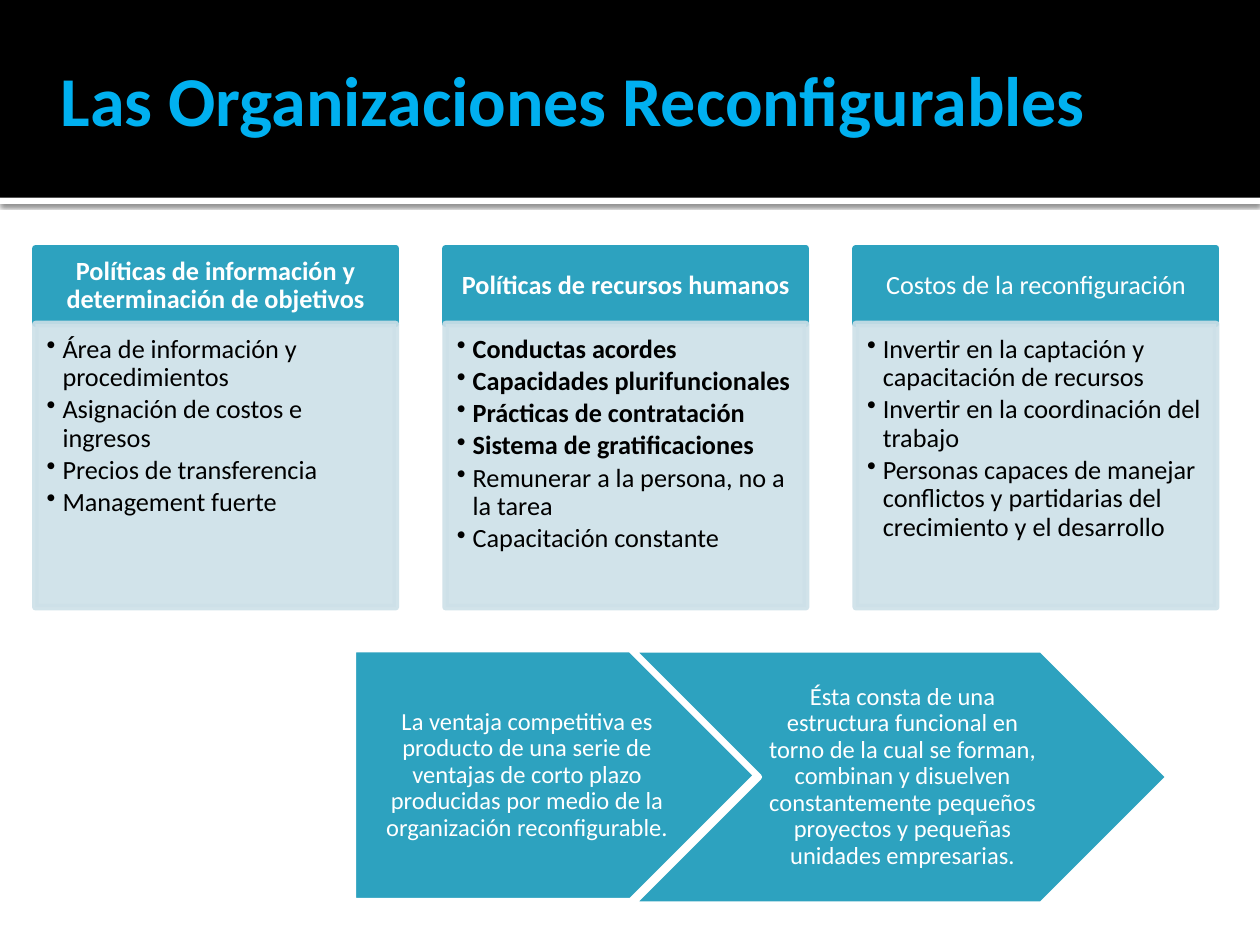
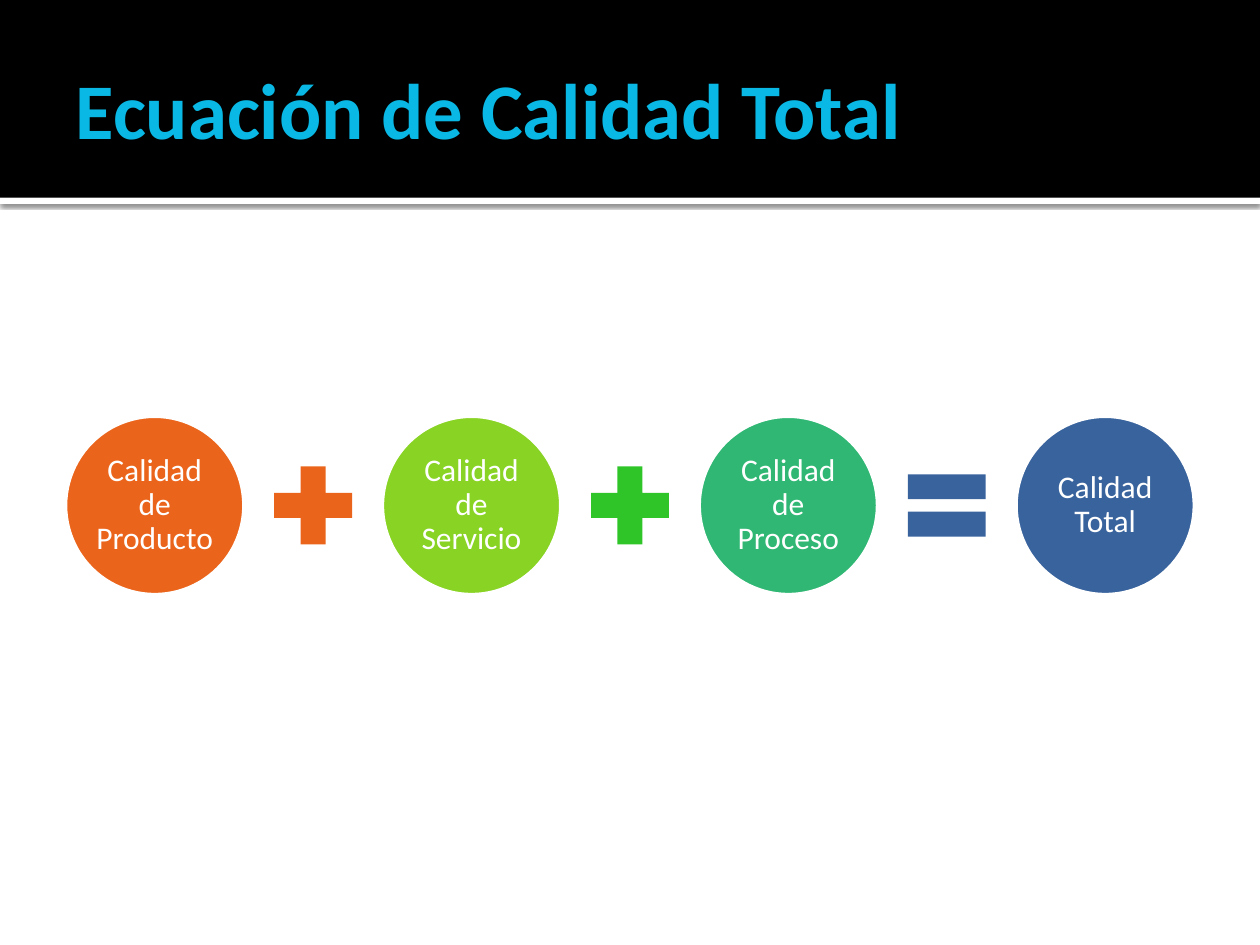
from lxml import etree
from pptx import Presentation
from pptx.dml.color import RGBColor
from pptx.enum.shapes import MSO_SHAPE
from pptx.enum.text import MSO_ANCHOR, MSO_AUTO_SIZE, PP_ALIGN
from pptx.oxml.ns import qn
from pptx.util import Pt

RECT, OVAL = MSO_SHAPE.RECTANGLE, MSO_SHAPE.OVAL
PENTAGON, CHEVRON = MSO_SHAPE.PENTAGON, MSO_SHAPE.CHEVRON
PLUS, EQUAL = MSO_SHAPE.MATH_PLUS, MSO_SHAPE.MATH_EQUAL
TOP, MIDDLE = MSO_ANCHOR.TOP, MSO_ANCHOR.MIDDLE
LEFT, CENTER = PP_ALIGN.LEFT, PP_ALIGN.CENTER
NO_FIT = MSO_AUTO_SIZE.NONE

FONT = "Calibri"
BLACK, WHITE = "000000", "FFFFFF"
TEAL, PALE_TEAL = "2DA2BF", "CDE0E8"
ORANGE, LIME, GREEN, SEA, BLUE = "EB641B", "88D323", "2FC529", "2FB773", "39639D"
OUTLINE = 3.78
TITLE_ONLY = 5


def paint(target, color, opacity=100):
    """Give a fill a solid hex colour, optionally see-through."""
    target.solid()
    target.fore_color.rgb = RGBColor.from_string(color)
    if opacity < 100:
        for node in target._xPr.iter(qn("a:srgbClr")):
            etree.SubElement(node, qn("a:alpha"), val=str(opacity * 1000))


def add_block(page, kind, box, color, line=None, opacity=100):
    """Add a flat preset shape in box (left, top, width, height)."""
    block = page.shapes.add_shape(kind, *map(Pt, box))
    block.shadow.inherit = False
    paint(block.fill, color, opacity)
    if line:
        block.line.width = Pt(OUTLINE)
        paint(block.line.fill, line, opacity)
    else:
        block.line.fill.background()
    return block


def set_frame(frame, anchor, insets):
    """Set wrapping, anchor and insets (left, top, right, bottom)."""
    frame.word_wrap = True
    frame.auto_size = NO_FIT
    frame.vertical_anchor = anchor
    (frame.margin_left, frame.margin_top,
     frame.margin_right, frame.margin_bottom) = map(Pt, insets)


def style_para(para, size, color, bold=False, align=CENTER, spacing=0.9):
    """Format a paragraph whose runs all agree."""
    para.alignment = align
    para.line_spacing = spacing
    para.font.name = FONT
    para.font.size = Pt(size)
    para.font.bold = bold
    para.font.color.rgb = RGBColor.from_string(color)


def write_label(block, text, size, insets, bold=False):
    """Write one centred white paragraph in a shape."""
    set_frame(block.text_frame, MIDDLE, insets)
    para = block.text_frame.paragraphs[0]
    para.text = text
    style_para(para, size, WHITE, bold)


def write_bullets(block, items, bold_count):
    """Write a bulleted list whose first bold_count items are bold."""
    frame = block.text_frame
    set_frame(frame, TOP, (6.5, 6.5, 8.6, 9.4))
    for index, item in enumerate(items):
        para = frame.paragraphs[0] if index == 0 else frame.add_paragraph()
        para.text = item
        props = para._p.get_or_add_pPr()
        props.set("marL", str(Pt(9)))
        props.set("indent", str(-Pt(9)))
        etree.SubElement(props, qn("a:buChar"), char="•")
        para.space_after = Pt(2.25)
        style_para(para, 15, BLACK, index < bold_count, LEFT)


def add_bands(page):
    """Put the black header and its shadowed white rule on the page's layout."""
    rule = add_block(page, RECT, (0, 113, 720, 3.6), WHITE)
    header = add_block(page, RECT, (0, 0, 720, 113), BLACK)
    effects = rule._element.spPr.find(qn("a:effectLst"))
    shadow = etree.SubElement(effects, qn("a:outerShdw"), blurRad=str(Pt(2.5)),
                              dist=str(Pt(0.8)), dir="5400000", rotWithShape="0")
    shade = etree.SubElement(shadow, qn("a:srgbClr"), val=BLACK)
    etree.SubElement(shade, qn("a:alpha"), val="60000")
    tree = page.slide_layout.shapes._spTree
    for position, band in enumerate((rule, header), start=2):
        tree.insert(position, band._element)


def set_title(page, text, box, size, color):
    """Place and format the title placeholder."""
    title = page.shapes.title
    title.left, title.top, title.width, title.height = map(Pt, box)
    set_frame(title.text_frame, MIDDLE, (7.2, 3.6, 3.6, 3.6))
    para = title.text_frame.paragraphs[0]
    para.text = text
    style_para(para, size, color, True, LEFT, 1)


def add_card(page, box, heading, items, bold_heading, bold_count):
    """Draw a teal heading above a pale bulleted panel."""
    left, top, width, height = box
    head_height = 43.2
    head = add_block(page, RECT, (left, top, width, head_height), TEAL, TEAL)
    write_label(head, heading, 15, (8.4, 4.8, 8.4, 4.8), bold_heading)
    panel_box = (left, top + head_height, width, height - head_height)
    panel = add_block(page, RECT, panel_box, PALE_TEAL, PALE_TEAL, 90)
    write_bullets(panel, items, bold_count)


def add_cards(page, box, cards):
    """Spread equal cards across the box."""
    left, top, width, height = box
    card_width = 206
    pitch = (width - card_width) / (len(cards) - 1)
    for index, card in enumerate(cards):
        add_card(page, (left + index * pitch, top, card_width, height), *card)


def add_arrows(page, box, first_text, second_text):
    """Draw a pentagon followed by a chevron-like arrow across the box."""
    left, top, width, height = box
    start = add_block(page, PENTAGON, (left, top, 231, height - 2), TEAL, WHITE)
    write_label(start, first_text, 14, (5.6, 2.8, 1.4, 2.8))
    offset = 159
    end_box = (left + offset, top, width - offset, height)
    end = add_block(page, CHEVRON, end_box, TEAL, WHITE)
    write_label(end, second_text, 14, (4.2, 2.8, 1.4, 2.8))


def add_equation(page, box, terms, signs):
    """Spread circles across the box, each sign centred between two of them."""
    left, top, width, diameter = box
    sign_size = 60.5
    pitch = (width - diameter) / (len(terms) - 1)
    for index, (text, color) in enumerate(terms):
        circle_box = (left + index * pitch, top, diameter, diameter)
        circle = add_block(page, OVAL, circle_box, color, WHITE)
        write_label(circle, text, 18, (2, 2, 2, 2))
    for index, (kind, color) in enumerate(signs):
        sign_left = left + (index + 0.5) * pitch + (diameter - sign_size) / 2
        sign_top = top + (diameter - sign_size) / 2
        add_block(page, kind, (sign_left, sign_top, sign_size, sign_size), color)


def build_organizations(page):
    """Build the slide on reconfigurable organizations."""
    set_title(page, "Las Organizaciones Reconfigurables",
              (27.4, 11.5, 648, 90), 40, "00B0F0")
    add_cards(page, (20.2, 142, 674.8, 205), [
        ("Políticas de información y determinación de objetivos",
         ["Área de información y procedimientos",
          "Asignación de costos e ingresos",
          "Precios de transferencia",
          "Management fuerte"], True, 0),
        ("Políticas de recursos humanos",
         ["Conductas acordes",
          "Capacidades plurifuncionales",
          "Prácticas de contratación",
          "Sistema de gratificaciones",
          "Remunerar a la persona, no a la tarea",
          "Capacitación constante"], True, 4),
        ("Costos de la reconfiguración",
         ["Invertir en la captación y capacitación de recursos",
          "Invertir en la coordinación del trabajo",
          "Personas capaces de manejar conflictos y partidarias del "
          "crecimiento y el desarrollo"], False, 0),
    ])
    add_arrows(page, (201.6, 371, 466.6, 146),
               "La ventaja competitiva es producto de una serie de ventajas de "
               "corto plazo producidas por medio de la organización reconfigurable.",
               "Ésta consta de una estructura funcional en torno de la cual se "
               "forman, combinan y disuelven constantemente pequeños proyectos y "
               "pequeñas unidades empresarias.")


def build_quality(page):
    """Build the slide with the total quality equation."""
    set_title(page, "Ecuación de Calidad Total", (36, 12.2, 648, 98.6), 45, "09B8E4")
    add_equation(page, (36.6, 237, 646.8, 103.7),
                 [("Calidad de Producto", ORANGE), ("Calidad de Servicio", LIME),
                  ("Calidad de Proceso", SEA), ("Calidad Total", BLUE)],
                 [(PLUS, ORANGE), (PLUS, GREEN), (EQUAL, BLUE)])


def main():
    """Build and save the deck."""
    deck = Presentation()
    deck.slide_width, deck.slide_height = Pt(720), Pt(540)
    layout = deck.slide_layouts[TITLE_ONLY]
    pages = [deck.slides.add_slide(layout) for _ in range(2)]
    add_bands(pages[0])
    build_organizations(pages[0])
    build_quality(pages[1])
    deck.save("out.pptx")


main()
